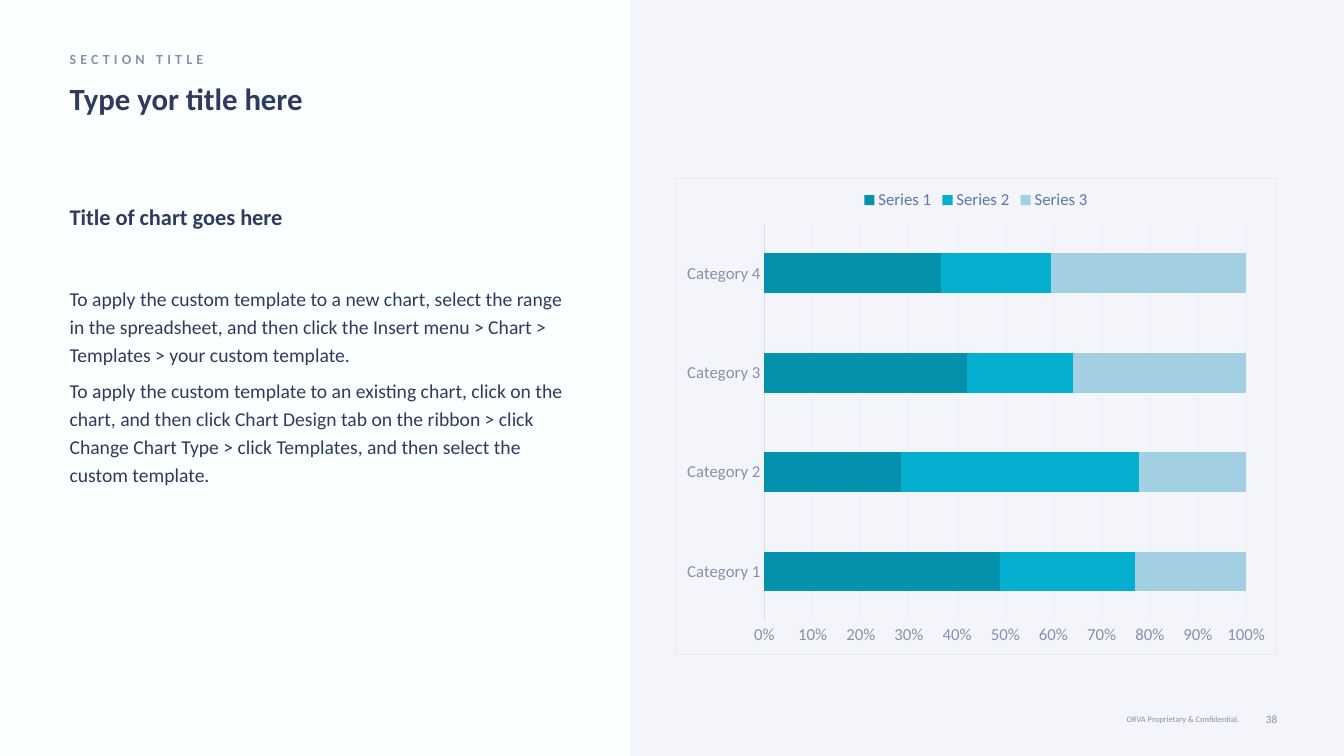
import pptx
import pptx.chart.data
import pptx.dml.color
import pptx.enum.chart
import pptx.enum.shapes
import pptx.enum.text
import pptx.oxml
import pptx.util

RGBColor = pptx.dml.color.RGBColor
Inches = pptx.util.Inches
Pt = pptx.util.Pt
ALIGN = pptx.enum.text.PP_ALIGN
ANCHOR = pptx.enum.text.MSO_ANCHOR

SECTION = "SECTION TITLE"
TITLE = "Type yor title here"
CHART_TITLE = "Title of chart goes here"
INSTRUCTIONS = [
    "To apply the custom template to a new chart, select the range in the spreadsheet, "
    "and then click the Insert menu > Chart > Templates > your custom template.",
    "To apply the custom template to an existing chart, click on the chart, and then "
    "click Chart Design tab on the ribbon > click Change Chart Type > click Templates, "
    "and then select the custom template.",
]
FOOTER = "ORVA Proprietary & Confidential."
PAGE_NUMBER = "38"

PAPER = RGBColor(0xFB, 0xFF, 0xFF)
PANEL = RGBColor(0xF3, 0xF5, 0xFB)
NAVY = RGBColor(0x2E, 0x3B, 0x5F)
GREY = RGBColor(0x87, 0x91, 0xAA)
LEGEND_BLUE = RGBColor(0x5D, 0x74, 0xB1)
AXIS_LINE = RGBColor(0xDA, 0xDF, 0xED)
GRID_LINE = RGBColor(0xF1, 0xEE, 0xF9)
BORDER = RGBColor(0xE7, 0xE9, 0xEE)

CATEGORIES = ["Category 1", "Category 2", "Category 3", "Category 4"]
SERIES = [
    ("Series 1", (49, 28, 42, 37), RGBColor(0x04, 0x91, 0xAC)),
    ("Series 2", (28, 49, 22, 23), RGBColor(0x05, 0xAF, 0xD0)),
    ("Series 3", (23, 22, 36, 41), RGBColor(0xA2, 0xD0, 0xE2)),
]

FONT = "Calibri"
WIDTH, HEIGHT = 13.33, 7.5
MARGIN = 0.69
PANEL_LEFT = 6.25
CHART_LEFT, CHART_TOP = 6.69, 1.77
RIGHT_EDGE = 12.67
FOOTER_TOP, FOOTER_HEIGHT = 7.01, 0.24
COLUMN = 5.08
BODY_INSETS = (0, 0.05, 0.1, 0.05)


def style_font(font, size, color, bold=False):
    font.name, font.size, font.bold = FONT, Pt(size), bold
    font.color.rgb = color


def fill_text(box, area, texts, size, color, bold=False, insets=(0, 0, 0, 0),
              anchor=ANCHOR.TOP, align=ALIGN.LEFT, leading=None):
    box.left, box.top, box.width, box.height = map(Inches, area)
    frame = box.text_frame
    frame.word_wrap = True
    frame.auto_size = pptx.enum.text.MSO_AUTO_SIZE.NONE
    frame.vertical_anchor = anchor
    (frame.margin_left, frame.margin_top,
     frame.margin_right, frame.margin_bottom) = map(Inches, insets)
    frame.text = "\n".join(texts)
    for index, para in enumerate(frame.paragraphs):
        para.alignment = align
        para.space_before = Pt(6 if index else 0)
        para.line_spacing = Pt(leading) if leading else 1.0
        for span in para.runs:
            style_font(span.font, size, color, bold)


def add_text(page, area, texts, size, color, **options):
    box = page.shapes.add_textbox(*map(Inches, area))
    fill_text(box, area, texts, size, color, **options)
    return box


def style_line(line, color):
    line.color.rgb = color
    line.width = Pt(0.75)


def add_border(chart):
    """Give the whole chart area a thin outline and no fill."""
    outline = pptx.oxml.parse_xml(
        '<c:spPr xmlns:c="http://schemas.openxmlformats.org/drawingml/2006/chart" '
        'xmlns:a="http://schemas.openxmlformats.org/drawingml/2006/main"><a:noFill/>'
        f'<a:ln w="{Pt(0.75)}"><a:solidFill><a:srgbClr val="{BORDER}"/></a:solidFill></a:ln>'
        '</c:spPr>')
    chart.font.size = Pt(10)
    chart.element.find(pptx.oxml.ns.qn("c:txPr")).addprevious(outline)


def add_bars(page):
    data = pptx.chart.data.CategoryChartData()
    data.categories = CATEGORIES
    for name, values, color in SERIES:
        data.add_series(name, values)
    chart = page.shapes.add_chart(
        pptx.enum.chart.XL_CHART_TYPE.BAR_STACKED_100, Inches(CHART_LEFT), Inches(CHART_TOP),
        Inches(RIGHT_EDGE - CHART_LEFT), Inches(4.73), data).chart
    chart.has_title = False
    style_font(chart.font, 10, NAVY)
    add_border(chart)

    chart.has_legend = True
    chart.legend.position = pptx.enum.chart.XL_LEGEND_POSITION.TOP
    chart.legend.include_in_layout = False
    style_font(chart.legend.font, 12, LEGEND_BLUE)

    plot = chart.plots[0]
    plot.gap_width, plot.overlap, plot.vary_by_categories = 150, 100, False
    for series, (name, values, color) in zip(plot.series, SERIES):
        series.format.fill.solid()
        series.format.fill.fore_color.rgb = color

    for axis in (chart.category_axis, chart.value_axis):
        axis.major_tick_mark = axis.minor_tick_mark = pptx.enum.chart.XL_TICK_MARK.NONE
        style_font(axis.tick_labels.font, 12, GREY)
    style_line(chart.category_axis.format.line, AXIS_LINE)
    percent = chart.value_axis
    percent.format.line.fill.background()
    percent.has_major_gridlines = True
    style_line(percent.major_gridlines.format.line, GRID_LINE)
    percent.minimum_scale, percent.maximum_scale, percent.major_unit = 0, 1, 0.1
    percent.tick_labels.number_format = "0%"
    percent.tick_labels.number_format_is_linked = False


def main():
    deck = pptx.Presentation()
    deck.slide_width, deck.slide_height = Inches(WIDTH), Inches(HEIGHT)
    page = deck.slides.add_slide(deck.slide_layouts[5])
    page.background.fill.solid()
    page.background.fill.fore_color.rgb = PAPER

    panel = page.shapes.add_shape(
        pptx.enum.shapes.MSO_SHAPE.RECTANGLE, Inches(PANEL_LEFT), 0,
        Inches(WIDTH - PANEL_LEFT), Inches(HEIGHT))
    panel.shadow.inherit = False
    panel.fill.solid()
    panel.fill.fore_color.rgb = PANEL
    panel.line.fill.background()

    section = add_text(page, (MARGIN, 0.46, 3.97, 0.25), [SECTION], 10, GREY,
                       bold=True, anchor=ANCHOR.MIDDLE)
    section.text_frame.paragraphs[0].runs[0].font._element.set("spc", "300")
    fill_text(page.shapes.title, (MARGIN, 0.79, 5.12, 0.37), [TITLE], 22, NAVY, bold=True)
    add_text(page, (MARGIN, 1.97, COLUMN, 0.37), [CHART_TITLE], 16, NAVY,
             bold=True, insets=BODY_INSETS)
    add_text(page, (MARGIN, 2.75, COLUMN, 2.13), INSTRUCTIONS, 14, NAVY,
             insets=BODY_INSETS, leading=20)
    add_bars(page)
    for text, left, right, size in ((FOOTER, 10.41, 12.29, 6),
                                    (PAGE_NUMBER, 12.4, RIGHT_EDGE, 8)):
        add_text(page, (left, FOOTER_TOP, right - left, FOOTER_HEIGHT), [text], size, GREY,
                 anchor=ANCHOR.MIDDLE, align=ALIGN.RIGHT)
    deck.save("out.pptx")


if __name__ == "__main__":
    main()
